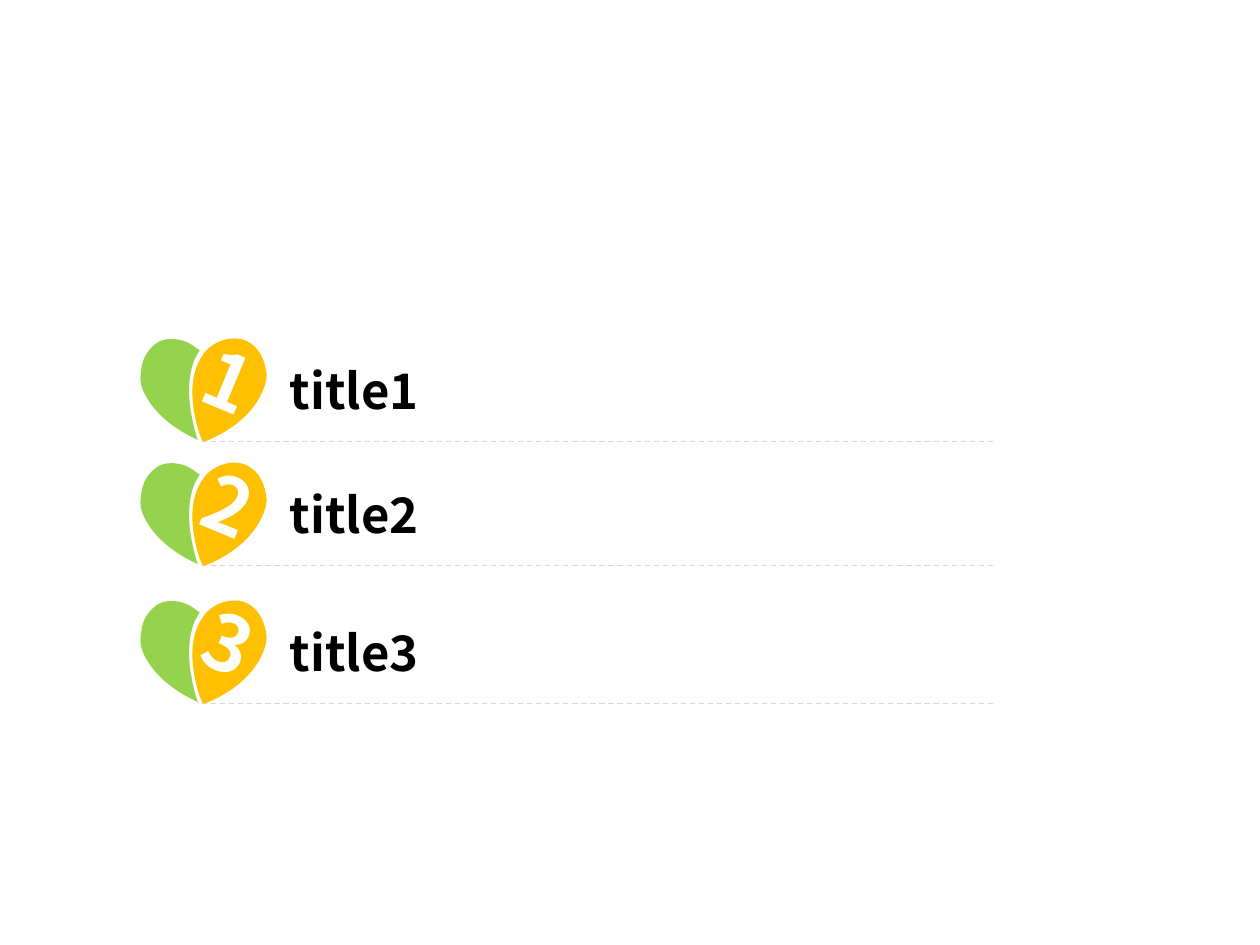
"""Build a three-row list slide with numbered two-leaf hearts."""
import math
from lxml import etree
from pptx import Presentation, util as u
from pptx.dml.color import RGBColor
from pptx.enum import dml, shapes, text
from pptx.oxml.ns import qn

COLORS = {"green": "95D34E", "amber": "FFC001", "rule": "D7D7D7",
          "title": "000000", "number": "FFFFFF"}
LEAVES = [
    {"color": "green", "angle": -22.5, "frame": (-45, -83, 54, 85), "start": (-25, -82),
     "segments": [
         [(-18, -82), (-11, -80), (-5, -75)], [(-2, -73)], [(-6, -66)],
         [(-12, -52), (-13, -31), (-4, -2)], [(-3, -1)], [(-7, -3)],
         [(-30, -14), (-43, -29), (-48, -42)],
         [(-50, -47), (-50, -52), (-49, -57)],
         [(-48, -68), (-42, -75), (-36, -79)],
         [(-33, -81), (-29, -82), (-25, -82)]]},
    {"color": "amber", "angle": 22.5, "frame": (-11, -84, 57, 88), "start": (26, -82),
     "segments": [
         [(19, -82), (12, -80), (6, -75)], [(3, -73), (0, -69), (-3, -63)],
         [(-9, -51), (-10, -32), (-2, -7)], [(1, 0)], [(8, -3)],
         [(32, -14), (44, -29), (49, -42)], [(51, -47), (52, -52), (51, -56)],
         [(49, -68), (44, -75), (37, -79)], [(34, -81), (30, -82), (26, -82)]]},
]

presentation = Presentation()
presentation.slide_width, presentation.slide_height = u.Inches(10), u.Inches(7.5)
slide = presentation.slides.add_slide(presentation.slide_layouts[6])
unit = presentation.slide_width / 1000
foot_x, title_x, end_x = 160.5, 220, 790.5


def add_run(paragraph, content, size, font, color):
    run = paragraph.add_run()
    run.text = content
    run.font.size, run.font.name, run.font.bold = u.Pt(size), font, True
    run.font.color.rgb = RGBColor.from_string(COLORS[color])


def add_leaf(leaf, foot_y):
    left, top, width, height = leaf["frame"]
    center_x, center_y = left + width / 2, top + height / 2
    cosine = math.cos(math.radians(leaf["angle"]))
    sine = math.sin(math.radians(leaf["angle"]))
    outline = []
    for x, y in [leaf["start"], *sum(leaf["segments"], [])]:
        dx, dy = x - center_x, y - center_y
        outline.append((round((foot_x + center_x + dx * cosine + dy * sine) * unit),
                        round((foot_y + center_y - dx * sine + dy * cosine) * unit)))
    builder = slide.shapes.build_freeform(*outline[0])
    builder.add_line_segments(outline[1:], close=True)
    shape = builder.convert_to_shape()

    lines = iter(list(shape.element.spPr.iter(qn("a:lnTo"))))
    for segment in leaf["segments"]:
        group = [next(lines) for _ in segment]
        if len(group) == 3:
            curve = etree.Element(qn("a:cubicBezTo"))
            group[0].addprevious(curve)
            for line in group:
                curve.append(line[0])
                line.getparent().remove(line)

    shape.left, shape.top = round((foot_x + left) * unit), round((foot_y + top) * unit)
    shape.width, shape.height = round(width * unit), round(height * unit)
    shape.rotation = leaf["angle"]
    shape.shadow.inherit = False
    shape.fill.solid()
    shape.fill.fore_color.rgb = RGBColor.from_string(COLORS[leaf["color"]])
    shape.line.fill.background()
    return shape


for number, foot_y in enumerate((350.4, 449, 558.4), start=1):
    green_leaf, amber_leaf = [add_leaf(leaf, foot_y) for leaf in LEAVES]
    frame = amber_leaf.text_frame
    frame.margin_left = frame.margin_top = frame.margin_right = 0
    frame.margin_bottom = round(20 * unit)
    frame.vertical_anchor = text.MSO_ANCHOR.MIDDLE
    frame.paragraphs[0].alignment = text.PP_ALIGN.CENTER
    add_run(frame.paragraphs[0], str(number), 44, "Noto Sans CJK JP", "number")

    rule = slide.shapes.add_connector(
        shapes.MSO_CONNECTOR.STRAIGHT, round(foot_x * unit), round(foot_y * unit),
        round(end_x * unit), round(foot_y * unit))
    rule.line.color.rgb = RGBColor.from_string(COLORS["rule"])
    rule.line.width = u.Pt(0.75)
    rule.line.dash_style = dml.MSO_LINE.DASH
    etree.SubElement(rule.element.spPr, qn("a:effectLst"))

    title = slide.shapes.add_textbox(round(title_x * unit), round((foot_y - 73) * unit),
                                     round(570 * unit), round(64 * unit))
    title.text_frame.word_wrap = True
    title.text_frame.vertical_anchor = text.MSO_ANCHOR.MIDDLE
    add_run(title.text_frame.paragraphs[0], f"title{number}", 28,
            "Noto Sans CJK SC", "title")

presentation.save("out.pptx")
